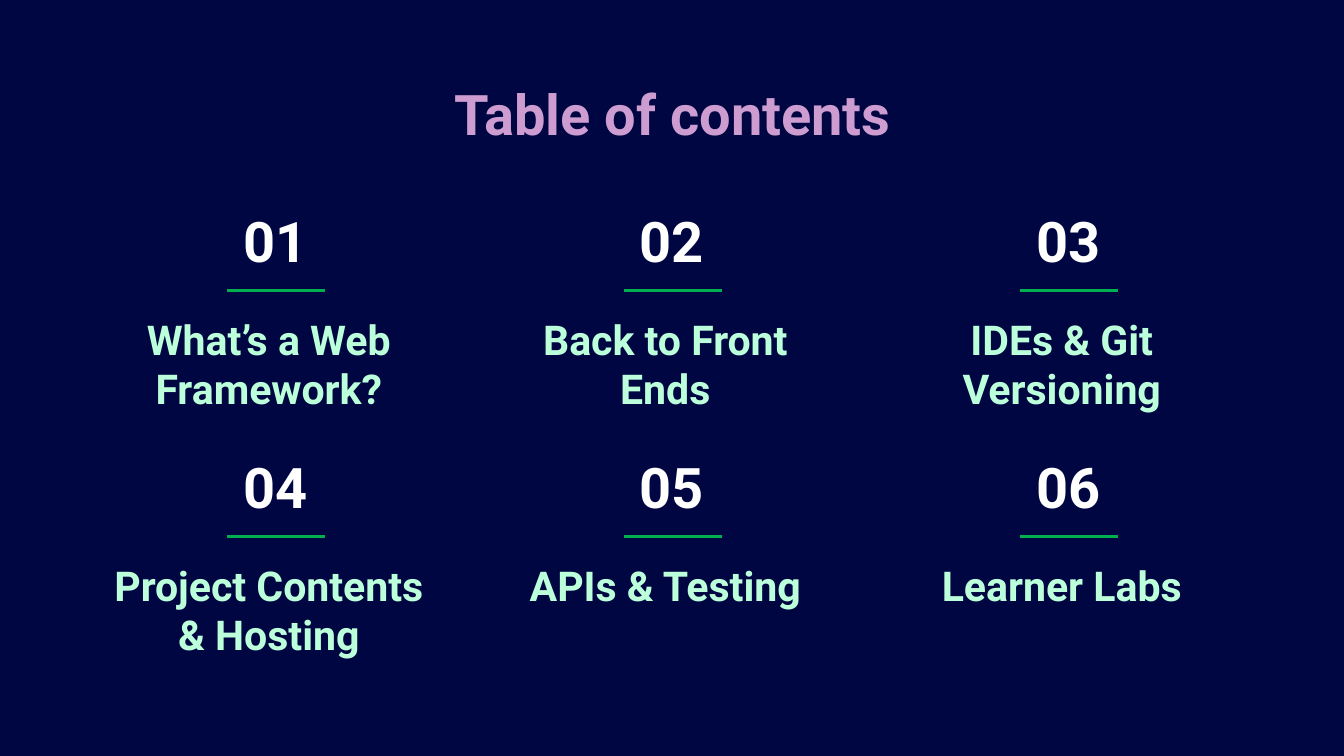
"""Build a table of contents slide with six numbered topics in a grid."""
import dataclasses

import lxml.etree
import pptx
import pptx.dml.color
import pptx.enum.shapes
import pptx.enum.text
import pptx.oxml.ns
import pptx.util

Inches = pptx.util.Inches
Anchor = pptx.enum.text.MSO_ANCHOR

COLORS = {
    "background": "000641",
    "number": "FFFFFF",
    "rule": "00B050",
    "title": "CD9CD0",
    "topic": "BCFFDB",
    "fade": "9CCAED",
}
COLUMNS = 3
COLUMN_STEP = 2.95
ROW_STEP = 1.83


@dataclasses.dataclass(frozen=True)
class Topic:
    number: str
    label: str
    column: int
    row: int

    @property
    def left(self) -> float:
        return self.column * COLUMN_STEP

    @property
    def top(self) -> float:
        return self.row * ROW_STEP


LABELS = [
    "What’s a Web Framework?",
    "Back to Front Ends",
    "IDEs & Git Versioning",
    "Project Contents & Hosting",
    "APIs & Testing",
    "Learner Labs",
]
TOPICS = [
    Topic(f"{index + 1:02d}", label, index % COLUMNS, index // COLUMNS)
    for index, label in enumerate(LABELS)
]


def rgb(name: str) -> pptx.dml.color.RGBColor:
    """Return the named colour."""
    return pptx.dml.color.RGBColor.from_string(COLORS[name])


def write_text(box, text: str, *, size: float, color: str,
               fade: bool = False, anchor=Anchor.TOP) -> None:
    """Put centred bold text in a box, optionally with a gradient fill."""
    frame = box.text_frame
    frame.word_wrap = True
    frame.auto_size = pptx.enum.text.MSO_AUTO_SIZE.NONE
    frame.vertical_anchor = anchor
    frame.margin_left = frame.margin_right = Inches(0.1)
    frame.margin_top = frame.margin_bottom = Inches(0.1)
    para = frame.paragraphs[0]
    para.alignment = pptx.enum.text.PP_ALIGN.CENTER
    para.space_before = pptx.util.Pt(0)
    span = para.add_run()
    span.text = text
    span.font.name = "Roboto"
    span.font.size = pptx.util.Pt(size)
    span.font.bold = True
    if fade:
        span.font.fill.gradient()
        span.font.fill.gradient_angle = 0
        for stop, name in zip(span.font.fill.gradient_stops, (color, "fade")):
            stop.color.rgb = rgb(name)
    else:
        span.font.color.rgb = rgb(color)


def add_title(page, text: str) -> None:
    """Place and format the title placeholder."""
    title = page.shapes.title
    title.left, title.top = Inches(0.79), Inches(0.49)
    title.width, title.height = Inches(8.43), Inches(0.63)
    write_text(title, text, size=30, color="title", fade=True)


def add_rule(page, left: float, top: float, width: float) -> None:
    """Draw a thin horizontal line."""
    rule = page.shapes.add_connector(
        pptx.enum.shapes.MSO_CONNECTOR.STRAIGHT,
        Inches(left), Inches(top), Inches(left + width), Inches(top))
    rule.line.color.rgb = rgb("rule")
    rule.line.width = pptx.util.Pt(1.5)
    lxml.etree.SubElement(rule._element.spPr, pptx.oxml.ns.qn("a:effectLst"))


def add_topic(page, topic: Topic) -> None:
    """Draw one topic: its number, the line below it and its label."""
    number = page.shapes.add_textbox(
        Inches(1.65 + topic.left), Inches(1.45 + topic.top),
        Inches(0.8), Inches(0.69))
    write_text(number, topic.number, size=30, color="number",
               anchor=Anchor.BOTTOM)
    add_rule(page, 1.69 + topic.left, 2.16 + topic.top, 0.73)
    label = page.shapes.add_textbox(
        Inches(0.69 + topic.left), Inches(2.24 + topic.top),
        Inches(2.62), Inches(0.88))
    write_text(label, topic.label, size=22, color="topic", fade=True)


def main() -> None:
    """Build and save the deck."""
    deck = pptx.Presentation()
    deck.slide_width = Inches(10)
    deck.slide_height = deck.slide_width * 9 // 16
    page = deck.slides.add_slide(deck.slide_layouts.get_by_name("Title Only"))
    page.background.fill.solid()
    page.background.fill.fore_color.rgb = rgb("background")
    add_title(page, "Table of contents")
    for topic in TOPICS:
        add_topic(page, topic)
    deck.save("out.pptx")


if __name__ == "__main__":
    main()
